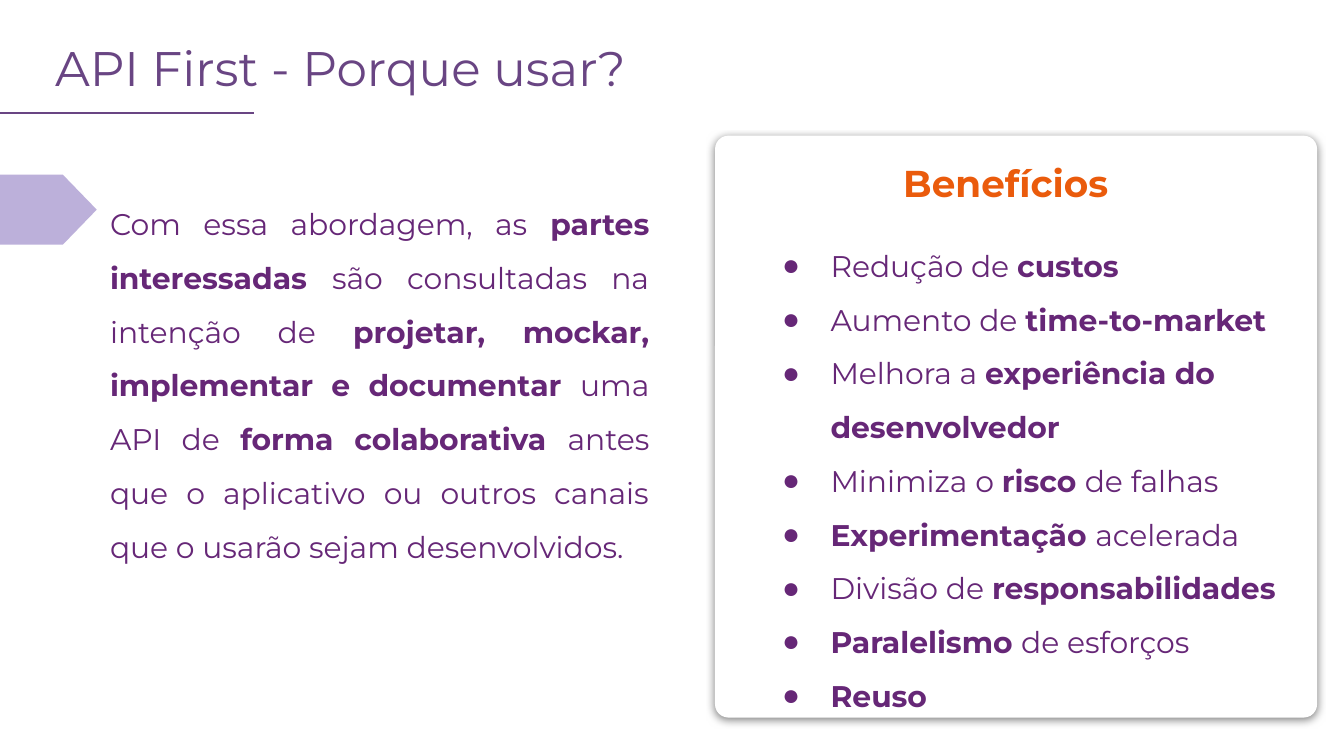
from lxml import etree
from pptx import Presentation
from pptx.dml.color import RGBColor
from pptx.enum import shapes, text
from pptx.oxml import ns, parse_xml
from pptx.util import Inches, Pt

# Content: text between ** marks is bold
TITLE = "API First - Porque usar?"
HEADING = "**Benefícios**"
APPROACH = (
    "Com essa abordagem, as **partes interessadas **são consultadas na intenção de "
    "**projetar, mockar, implementar e documentar **uma API de **forma colaborativa **"
    "antes que o aplicativo ou outros canais que o usarão sejam desenvolvidos."
)
BENEFITS = [
    "Redução de **custos**",
    "Aumento de **time-to-market**",
    "Melhora a **experiência do desenvolvedor**",
    "Minimiza o **risco **de falhas",
    "**Experimentação **acelerada",
    "Divisão de **responsabilidades**",
    "**Paralelismo **de esforços",
    "**Reuso**",
]

FONT = "Montserrat"
BULLET_FONT = "Arial"
WHITE = RGBColor(0xFF, 0xFF, 0xFF)
TITLE_PURPLE = RGBColor(0x69, 0x45, 0x83)
TEXT_PURPLE = RGBColor(0x66, 0x27, 0x77)
LILAC = RGBColor(0xB4, 0xA7, 0xD6)
ORANGE = RGBColor(0xEA, 0x5B, 0x0C)


def place(shape, left, top, width, height):
    box = {"left": left, "top": top, "width": width, "height": height}
    for name, value in box.items():
        setattr(shape, name, Inches(value))


def add_bullet(paragraph):
    props = paragraph._p.get_or_add_pPr()
    props.set("marL", str(Inches(0.5)))
    props.set("indent", str(Inches(-0.36)))
    color = etree.SubElement(props, ns.qn("a:buClr"))
    etree.SubElement(color, ns.qn("a:srgbClr")).set("val", str(TEXT_PURPLE))
    etree.SubElement(props, ns.qn("a:buFont")).set("typeface", BULLET_FONT)
    etree.SubElement(props, ns.qn("a:buChar")).set("char", "●")


def write(shape, lines, size, color, align=text.PP_ALIGN.LEFT, spacing=1.0,
          anchor=text.MSO_ANCHOR.TOP, inset=0.1, bullets=False):
    frame = shape.text_frame
    frame_format = {"word_wrap": True, "auto_size": text.MSO_AUTO_SIZE.NONE,
                    "vertical_anchor": anchor}
    for side in ("left", "right", "top", "bottom"):
        frame_format["margin_" + side] = Inches(inset)
    for name, value in frame_format.items():
        setattr(frame, name, value)
    for i, line in enumerate(lines):
        paragraph = frame.add_paragraph() if i else frame.paragraphs[0]
        paragraph.alignment = align
        paragraph.line_spacing = spacing
        paragraph.space_before = Pt(0)
        if bullets:
            add_bullet(paragraph)
        for j, part in enumerate(line.split("**")):
            if part:
                run = paragraph.add_run()
                run.text = part
                run_format = {"name": FONT, "size": Pt(size), "bold": j % 2 == 1}
                for name, value in run_format.items():
                    setattr(run.font, name, value)
                run.font.color.rgb = color


def add_panel(slide, preset, box, adjustment, color):
    panel = slide.shapes.add_shape(preset, *map(Inches, box))
    panel.adjustments[0] = adjustment
    panel.fill.solid()
    panel.fill.fore_color.rgb = color
    panel.line.fill.background()
    panel.shadow.inherit = False
    return panel


# Widescreen slide, 16:9
prs = Presentation()
prs.slide_width = Inches(10)
prs.slide_height = Inches(10 * 9 / 16)
slide = prs.slides.add_slide(prs.slide_layouts[1])
title, benefits = slide.placeholders

# Title and its underline
place(title, 0.31, 0.18, 6.05, 0.6)
write(title, [TITLE], 26, TITLE_PURPLE)
underline = slide.shapes.add_connector(
    shapes.MSO_CONNECTOR.STRAIGHT, *map(Inches, (-0.05, 0.84, 1.89, 0.84)))
underline.line.color.rgb = TITLE_PURPLE
underline.line.width = Pt(0.75)
etree.SubElement(underline._element.spPr, ns.qn("a:effectLst"))

# Benefits card with a soft shadow
card = add_panel(slide, shapes.MSO_SHAPE.ROUNDED_RECTANGLE,
                 (5.32, 1.01, 4.48, 4.33), 0.023, WHITE)
card._element.spPr.find(ns.qn("a:effectLst")).append(parse_xml(
    f'<a:outerShdw {ns.nsdecls("a")} blurRad="{Pt(4.5)}" dist="{Pt(1.5)}" '
    'dir="5400000" algn="bl" rotWithShape="0"><a:srgbClr val="000000">'
    '<a:alpha val="50000"/></a:srgbClr></a:outerShdw>'))

# Benefits list, brought in front of the card
slide.shapes._spTree.append(benefits._element)
place(benefits, 5.58, 1.61, 4.48, 3.28)
write(benefits, BENEFITS, 16, TEXT_PURPLE, spacing=1.5, bullets=True)

# Approach paragraph
approach = slide.shapes.add_textbox(*map(Inches, (0.72, 1.3, 4.21, 3.28)))
write(approach, [APPROACH], 16, TEXT_PURPLE,
      align=text.PP_ALIGN.JUSTIFY, spacing=1.5)

# Translucent arrow tab at the left edge
tab = add_panel(slide, shapes.MSO_SHAPE.PENTAGON,
                (-0.01, 1.3, 0.73, 0.52), 0.484, LILAC)
tab_color = tab._element.spPr.find(".//" + ns.qn("a:srgbClr"))
etree.SubElement(tab_color, ns.qn("a:alpha")).set("val", "89000")

# Card heading
heading = slide.shapes.add_textbox(*map(Inches, (6.65, 1.16, 1.81, 0.4)))
write(heading, [HEADING], 20, ORANGE, anchor=text.MSO_ANCHOR.MIDDLE, inset=0.07)

prs.save("out.pptx")
